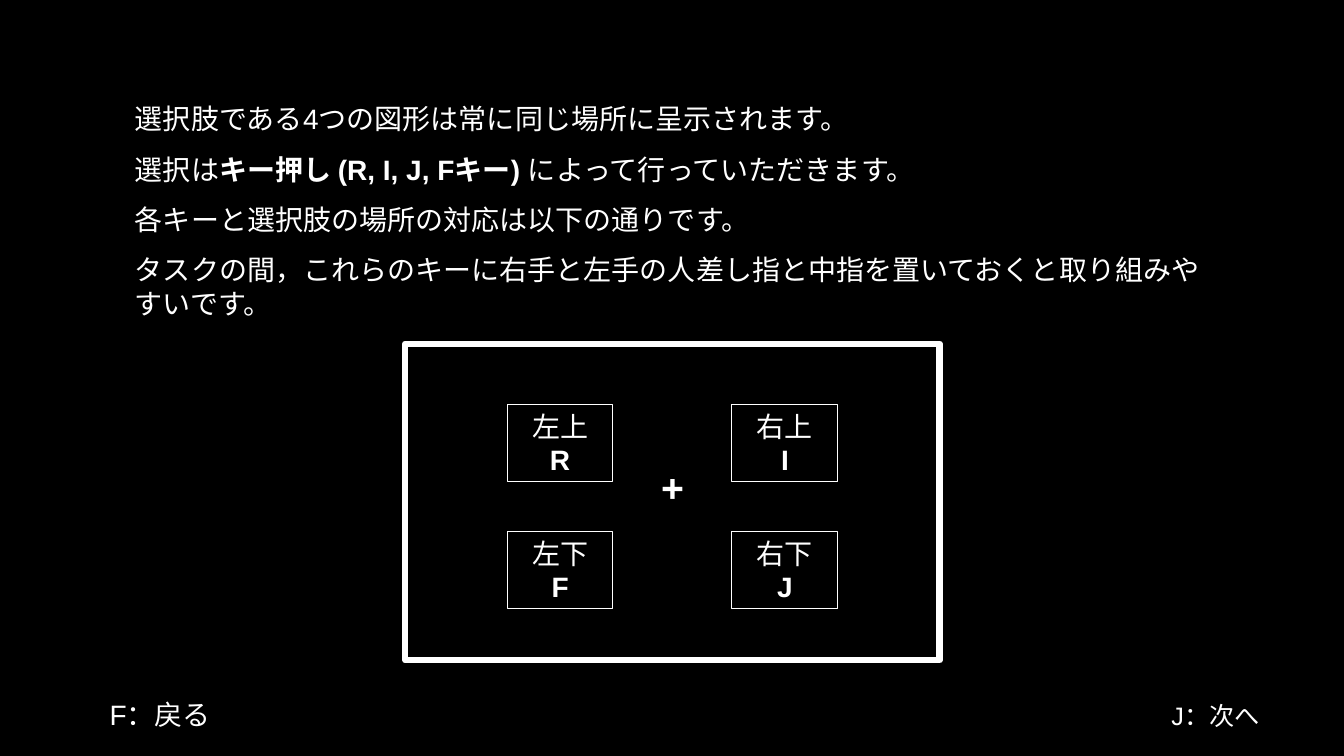
from pptx import Presentation
from pptx.dml.color import RGBColor
from pptx.enum.shapes import MSO_SHAPE
from pptx.enum.text import MSO_ANCHOR, MSO_AUTO_SIZE, PP_ALIGN
from pptx.util import Inches, Pt

BLACK = RGBColor(0, 0, 0)
WHITE = RGBColor(255, 255, 255)
FONT = "Arial"

# A paragraph is a list of (text, bold) spans.
INSTRUCTIONS = [
    [("選択肢である4つの図形は常に同じ場所に呈示されます。", False)],
    [("選択は", False), ("キー押し (R, I, J, Fキー) ", True),
     ("によって行っていただきます。", False)],
    [("各キーと選択肢の場所の対応は以下の通りです。", False)],
    [("タスクの間，これらのキーに右手と左手の人差し指と中指を置いておくと"
      "取り組みやすいです。", False)],
]
KEY_GRID = [
    [("左上", "R"), ("右上", "I")],
    [("左下", "F"), ("右下", "J")],
]

# Lengths in inches: left, top, width, height
INSTRUCTION_AREA = (1.24, 0.96, 10.85, 2.29)
BACK_AREA = (0.71, 6.87, 1.76, 0.44)
NEXT_AREA = (11.52, 6.9, 1.14, 0.4)
SCREEN_AREA = (4.02, 3.41, 5.3, 3.14)
CROSS_AREA = (6.38, 4.55, 0.58, 0.57)
GRID_LEFT, GRID_TOP = 5.03, 4.01
COLUMN_STEP, ROW_STEP = 2.23, 1.26
KEY_WIDTH, KEY_HEIGHT = 1.05, 0.77


def write(box, paragraphs, size=20, align=PP_ALIGN.LEFT, gap=0):
    """Fill a box with white paragraphs of plain and bold spans."""
    frame = box.text_frame
    frame.word_wrap = True
    frame.auto_size = MSO_AUTO_SIZE.SHAPE_TO_FIT_TEXT
    for index, spans in enumerate(paragraphs):
        para = frame.add_paragraph() if index else frame.paragraphs[0]
        para.alignment = align
        para.space_after = Pt(gap)
        for text, bold in spans:
            span = para.add_run()
            span.text = text
            span.font.color.rgb = WHITE
            for name, value in {"name": FONT, "size": Pt(size), "bold": bold}.items():
                setattr(span.font, name, value)


def add_text(page, area, paragraphs, **style):
    """Add a text box at the given area."""
    box = page.shapes.add_textbox(*map(Inches, area))
    write(box, paragraphs, **style)


def add_frame(page, area, line_width):
    """Add an unfilled rectangle with a white outline."""
    box = page.shapes.add_shape(MSO_SHAPE.RECTANGLE, *map(Inches, area))
    box.shadow.inherit = False
    box.fill.background()
    box.line.color.rgb = WHITE
    box.line.width = Pt(line_width)
    return box


def add_keys(page):
    """Place each position label with its key on the grid."""
    for row, keys in enumerate(KEY_GRID):
        for column, (place, key) in enumerate(keys):
            area = (GRID_LEFT + column * COLUMN_STEP, GRID_TOP + row * ROW_STEP,
                    KEY_WIDTH, KEY_HEIGHT)
            box = add_frame(page, area, 0.75)
            box.text_frame.vertical_anchor = MSO_ANCHOR.TOP
            write(box, [[(place, False)], [(key, True)]], align=PP_ALIGN.CENTER)


deck = Presentation()
deck.slide_width, deck.slide_height = Inches(13.33), Inches(7.5)
page = deck.slides.add_slide(deck.slide_layouts[6])
page.background.fill.solid()
page.background.fill.fore_color.rgb = BLACK

add_text(page, INSTRUCTION_AREA, INSTRUCTIONS, gap=12)
add_text(page, NEXT_AREA, [[("J：次へ", False)]], size=18)
add_text(page, BACK_AREA, [[("F：戻る", False)]], align=PP_ALIGN.CENTER)
add_frame(page, SCREEN_AREA, 4.5)
add_text(page, CROSS_AREA, [[("+", True)]], size=28, align=PP_ALIGN.CENTER)
add_keys(page)

deck.save("out.pptx")
